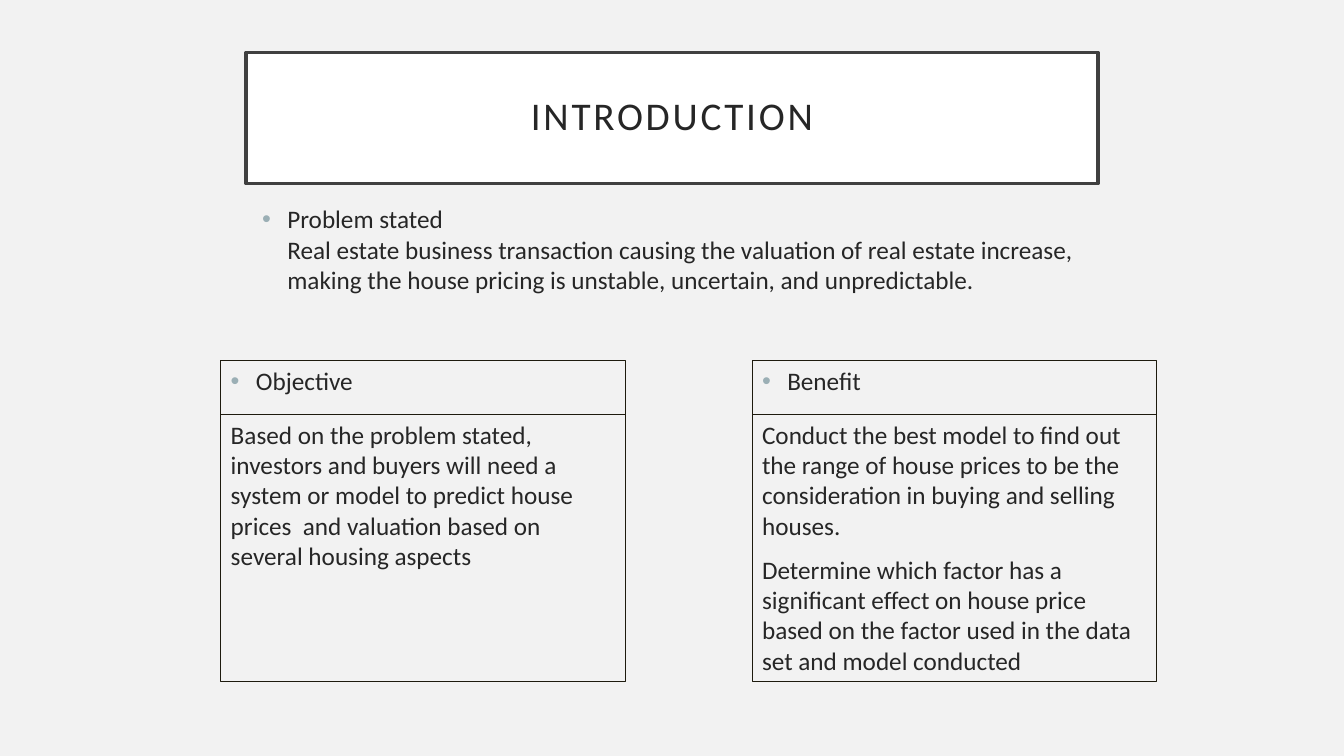
from copy import deepcopy

from lxml.etree import SubElement
from pptx import Presentation
from pptx.dml.color import RGBColor
from pptx.enum.shapes import MSO_SHAPE
from pptx.enum.text import MSO_ANCHOR, MSO_AUTO_SIZE, PP_ALIGN
from pptx.oxml.ns import qn
from pptx.util import Inches, Pt

BACKGROUND = RGBColor(0xF2, 0xF2, 0xF2)
WHITE = RGBColor(0xFF, 0xFF, 0xFF)
FRAME = RGBColor(0x40, 0x40, 0x40)
INK = RGBColor(0x26, 0x26, 0x26)
BORDER = RGBColor(0x1E, 0x1B, 0x0E)
BULLET = RGBColor(0x9B, 0xAF, 0xB5)

FONT = "Calibri"
HEADING_HEIGHT = 0.53
PANEL_WIDTH, PANEL_HEIGHT = 4.01, 3.18
PANEL_TOP, PANEL_LEFT, PANEL_STEP = 3.58, 2.19, 5.27

TITLE_FRAME = {"word_wrap": True, "auto_size": MSO_AUTO_SIZE.NONE,
               "vertical_anchor": MSO_ANCHOR.MIDDLE,
               **{f"margin_{side}": Inches(0.2) for side in ("left", "right", "top", "bottom")}}
TEXT_FRAME = {"word_wrap": True, "auto_size": MSO_AUTO_SIZE.NONE,
              "vertical_anchor": MSO_ANCHOR.TOP}
TITLE_PARAGRAPH = {"alignment": PP_ALIGN.CENTER, "line_spacing": 0.9}
TEXT_PARAGRAPH = {"alignment": PP_ALIGN.LEFT, "line_spacing": 1.0, "space_before": Pt(10)}
TITLE_FONT = {"name": FONT, "size": Pt(28), "bold": False}
TEXT_FONT = {"name": FONT, "size": Pt(18), "bold": False}

PROBLEM = ("Problem stated\vReal estate business transaction causing the valuation of real "
           "estate increase, making the house pricing is unstable, uncertain, and unpredictable.")
PANELS = [
    ("Objective", [
        "Based on the problem stated, investors and buyers will need a system or model to "
        "predict house prices  and valuation based on several housing aspects"]),
    ("Benefit", [
        "Conduct the best model to find out the range of house prices to be the "
        "consideration in buying and selling houses.",
        "Determine which factor has a significant effect on house price based on the "
        "factor used in the data set and model conducted"]),
]


def apply_format(target, values):
    """Set every attribute named in values on the target."""
    for name, value in values.items():
        setattr(target, name, value)


def place(shape, box):
    """Move a shape to a box of left, top, width and height in inches."""
    apply_format(shape, dict(zip(("left", "top", "width", "height"), map(Inches, box))))


def outline(shape, color, width):
    """Give a shape a solid line."""
    shape.line.color.rgb = color
    shape.line.width = Pt(width)


def add_bullet(paragraph):
    """Give a paragraph a coloured round bullet with a hanging indent."""
    properties = paragraph._p.get_or_add_pPr()
    properties.set("marL", str(Inches(0.25)))
    properties.set("indent", str(Inches(-0.25)))
    color = SubElement(properties, qn("a:buClr"))
    SubElement(color, qn("a:srgbClr"), val=str(BULLET))
    SubElement(properties, qn("a:buFont"), typeface="Arial")
    SubElement(properties, qn("a:buChar"), char="•")


def write(shape, texts, frame_format, paragraph_format, font_format, bulleted=False):
    """Fill a shape with formatted paragraphs."""
    frame = shape.text_frame
    apply_format(frame, frame_format)
    for index, text in enumerate(texts):
        paragraph = frame.add_paragraph() if index else frame.paragraphs[0]
        paragraph.text = text
        apply_format(paragraph, paragraph_format)
        for run in paragraph.runs:
            apply_format(run.font, font_format)
            run.font.color.rgb = INK
        for line_break in paragraph._p.findall(qn("a:br")):
            line_break.insert(0, deepcopy(paragraph.runs[0]._r.get_or_add_rPr()))
        if bulleted:
            add_bullet(paragraph)


def build_title(slide, box):
    """Place the framed slide title in the box."""
    title = slide.shapes.title
    place(title, box)
    title.fill.solid()
    title.fill.fore_color.rgb = WHITE
    outline(title, FRAME, 2.5)
    write(title, ["INTRODUCTION"], TITLE_FRAME, TITLE_PARAGRAPH, TITLE_FONT)
    title.text_frame.paragraphs[0].runs[0]._r.get_or_add_rPr().set("spc", "200")


def build_problem(slide, box):
    """Place the problem statement in the box."""
    problem = slide.placeholders[1]
    place(problem, box)
    write(problem, [PROBLEM], TEXT_FRAME, TEXT_PARAGRAPH, TEXT_FONT, bulleted=True)


def build_panel(slide, box, heading, details):
    """Stack a bulleted heading cell on a detail cell within the box."""
    left, top, width, height = box
    cells = [([heading], top, HEADING_HEIGHT, True),
             (details, top + HEADING_HEIGHT, height - HEADING_HEIGHT, False)]
    for texts, cell_top, cell_height, bulleted in cells:
        cell = slide.shapes.add_shape(MSO_SHAPE.RECTANGLE, 0, 0, 0, 0)
        place(cell, (left, cell_top, width, cell_height))
        cell.shadow.inherit = False
        cell.fill.background()
        outline(cell, BORDER, 0.75)
        write(cell, texts, TEXT_FRAME, TEXT_PARAGRAPH, TEXT_FONT, bulleted)


def main():
    """Build and save the introduction slide."""
    presentation = Presentation()
    presentation.slide_width = Inches(13.33)
    presentation.slide_height = Inches(7.5)
    slide = presentation.slides.add_slide(presentation.slide_layouts[1])
    slide.background.fill.solid()
    slide.background.fill.fore_color.rgb = BACKGROUND
    build_title(slide, (2.44, 0.52, 8.45, 1.3))
    build_problem(slide, (2.5, 1.97, 8.45, 1.06))
    for index, (heading, details) in enumerate(PANELS):
        left = PANEL_LEFT + index * PANEL_STEP
        build_panel(slide, (left, PANEL_TOP, PANEL_WIDTH, PANEL_HEIGHT), heading, details)
    presentation.save("out.pptx")


if __name__ == "__main__":
    main()
